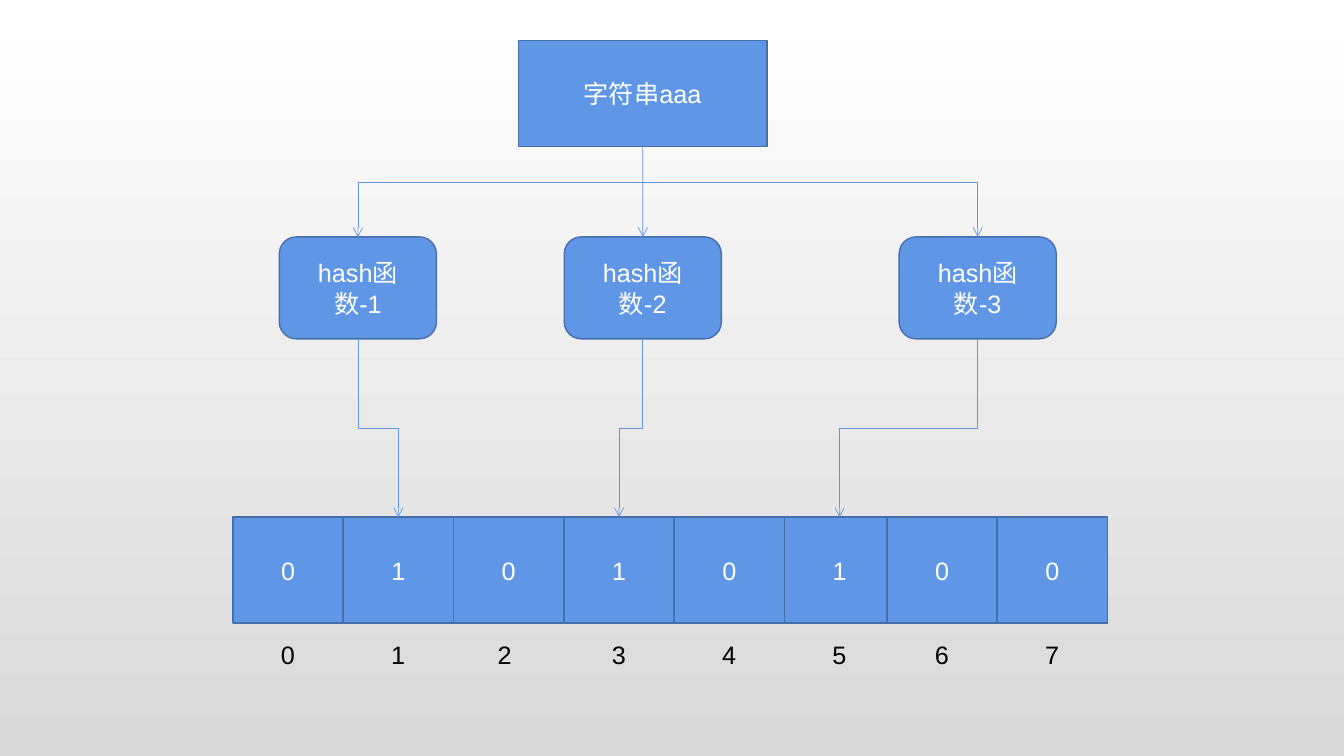
from lxml.etree import SubElement
from pptx import Presentation
from pptx.dml.color import RGBColor
from pptx.enum.shapes import MSO_CONNECTOR, MSO_SHAPE
from pptx.enum.text import MSO_ANCHOR, PP_ALIGN
from pptx.oxml.ns import qn
from pptx.util import Cm, Pt

BLUE = RGBColor(0x60, 0x96, 0xE6)
EDGE = RGBColor(0x47, 0x6F, 0xAA)
WHITE = RGBColor(0xFF, 0xFF, 0xFF)
GREY = RGBColor(0xD9, 0xD9, 0xD9)
BLACK = RGBColor(0, 0, 0)
TOP, BOTTOM = 0, 2  # connection sites of a box


def write(sp, text, color, align):
    """Put one line of 18 pt Arial into a shape."""
    tf = sp.text_frame
    tf.word_wrap = True
    tf.text = text
    p = tf.paragraphs[0]
    p.alignment = align
    font = p.runs[0].font
    font.name, font.size, font.color.rgb = "Arial", Pt(18), color


def add_box(s, kind, text, x, y, w, h):
    """Add a blue box with centred white text; lengths in cm."""
    sp = s.shapes.add_shape(kind, Cm(x), Cm(y), Cm(w), Cm(h))
    sp.shadow.inherit = False
    sp.fill.solid()
    sp.fill.fore_color.rgb = BLUE
    sp.line.color.rgb = EDGE
    sp.line.width = Pt(1)
    sp.text_frame.vertical_anchor = MSO_ANCHOR.MIDDLE
    write(sp, text, WHITE, PP_ALIGN.CENTER)
    return sp


def connect(s, kind, start, start_site, end, end_site, ends=("tailEnd",)):
    """Glue a thin blue connector to two boxes and give it open arrowheads."""
    cn = s.shapes.add_connector(kind, 0, 0, 0, 0)
    cn.begin_connect(start, start_site)
    cn.end_connect(end, end_site)
    cn.line.color.rgb = BLUE
    cn.line.width = Pt(0.5)
    for name in ends:
        SubElement(cn.line._get_or_add_ln(), qn("a:" + name), type="arrow")
    SubElement(cn._element.spPr, qn("a:effectLst"))
    return cn


def bend(cn, degrees, depth=None):
    """Turn an elbow so that it leaves vertically and crosses at depth."""
    x1, y1, x2, y2 = cn.begin_x, cn.begin_y, cn.end_x, cn.end_y
    w, h = max(abs(y2 - y1), Cm(0.01)), abs(x2 - x1)
    cn.left, cn.top = (x1 + x2 - w) // 2, (y1 + y2 - h) // 2
    cn.width, cn.height = w, h
    xfrm = cn._element.spPr.find(qn("a:xfrm"))
    xfrm.set("rot", str(degrees * 60000))
    xfrm.set("flipH", "0")
    xfrm.set("flipV", "1" if degrees == 90 and x2 > x1 else "0")
    ratio = depth / w if depth else 0.5
    guides = cn._element.spPr.find(qn("a:prstGeom")).get_or_add_avLst()
    SubElement(guides, qn("a:gd"), name="adj1", fmla=f"val {round(ratio * 100000)}")


def add_functions(s, x, y, w, h):
    """Add the three hash functions, the middle one off centre."""
    offsets = (0, 7.18, 15.62)
    return [add_box(s, MSO_SHAPE.ROUNDED_RECTANGLE, f"hash函数-{i}", x + dx, y, w, h)
            for i, dx in enumerate(offsets, 1)]


def add_bit_array(s, bits, x, y, pitch, h):
    """Add the row of bits with its indices; the last two cells sit closer."""
    cells = []
    for i, bit in enumerate(bits):
        left = x + i * pitch - (0.2 if i >= 6 else 0)
        cells.append(add_box(s, MSO_SHAPE.RECTANGLE, bit, left, y, pitch, h))
        nudge = -0.1 if i == 2 else 0
        label = s.shapes.add_textbox(Cm(left + 0.96 + nudge), Cm(y + h + 0.29),
                                     Cm(0.86), Cm(1.02))
        write(label, str(i), BLACK, PP_ALIGN.LEFT)
    return cells


def add_background(s):
    """Fill the slide from white at the top to grey at the bottom."""
    fill = s.background.fill
    fill.gradient()
    fill.gradient_angle = 270
    for stop, color, position in zip(fill.gradient_stops, (WHITE, GREY), (0, 1)):
        stop.color.rgb = color
        stop.position = position


def add_bloom_filter(s):
    """Build the diagram: key, hash functions, bit array and arrows."""
    key = add_box(s, MSO_SHAPE.RECTANGLE, "字符串aaa", 13.06, 1.02, 6.27, 2.67)
    hashes = add_functions(s, 7.04, 5.97, 3.96, 2.57)
    cells = add_bit_array(s, "01010100", 5.87, 13.03, 2.78, 2.67)

    fork = connect(s, MSO_CONNECTOR.ELBOW, hashes[0], TOP, hashes[2], TOP,
                   ("headEnd", "tailEnd"))
    bend(fork, 270, Cm(1.39))
    connect(s, MSO_CONNECTOR.STRAIGHT, key, BOTTOM, hashes[1], TOP)
    for function, cell in zip(hashes, cells[1:6:2]):
        bend(connect(s, MSO_CONNECTOR.ELBOW, function, BOTTOM, cell, TOP), 90)


prs = Presentation()
prs.slide_width, prs.slide_height = Cm(33.87), Cm(19.05)
slide = prs.slides.add_slide(prs.slide_layouts[6])
add_background(slide)
add_bloom_filter(slide)
prs.save("out.pptx")
